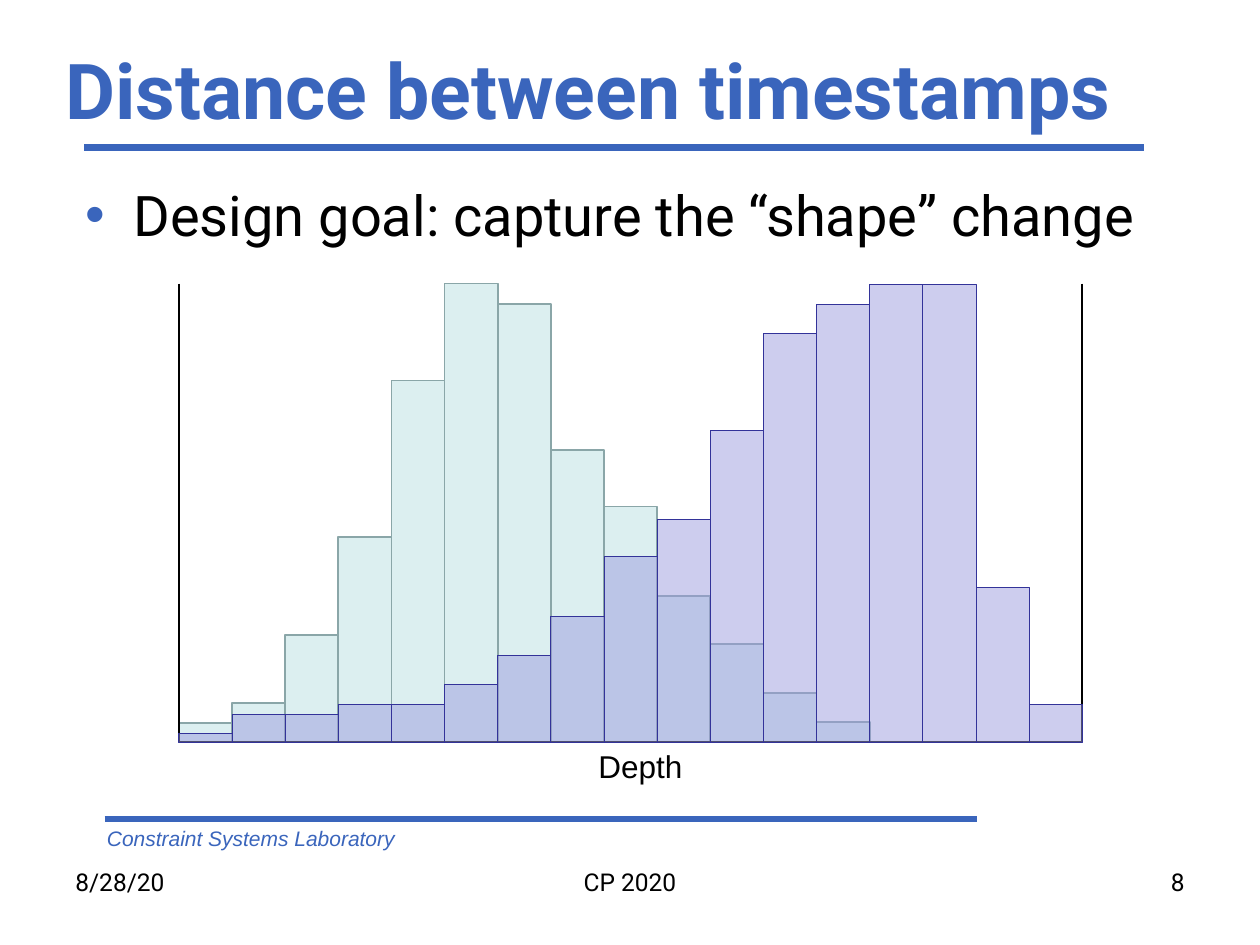
from dataclasses import dataclass

from lxml import etree
from pptx import Presentation
from pptx.dml.color import RGBColor
from pptx.enum import shapes, text
from pptx.oxml import ns
from pptx.util import Inches, Pt


@dataclass(frozen=True)
class Theme:
    blue: str = "3A65BC"
    black: str = "000000"
    early_fill: str = "BBE0E3"
    early_line: str = "8AA6A8"
    late_fill: str = "9C9CDF"
    late_line: str = "333399"
    main_font: str = "Roboto"
    plain_font: str = "Arial"
    title_size: int = 44
    body_size: int = 32
    label_size: int = 18
    footer_size: int = 14
    lab_size: int = 12


THEME = Theme()
# Bar heights in inches, one per depth bin
EARLY = [0.15, 0.31, 0.85, 1.63, 2.87, 3.64, 3.48, 2.32, 1.87, 1.16, 0.78, 0.39, 0.16]
LATE = [0.07, 0.22, 0.22, 0.3, 0.3, 0.46, 0.69, 1, 1.47, 1.77, 2.47, 3.24, 3.47,
        3.63, 3.63, 1.23, 0.3]


def color(value):
    return RGBColor.from_string(value)


def add_text(slide, box, words, size, ink=THEME.black, font=THEME.main_font,
             bold=False, italic=False, align=text.PP_ALIGN.LEFT,
             anchor=text.MSO_ANCHOR.TOP, wrap=True):
    frame = slide.shapes.add_textbox(*map(Inches, box)).text_frame
    frame.word_wrap = wrap
    frame.vertical_anchor = anchor
    paragraph = frame.paragraphs[0]
    paragraph.alignment = align
    run = paragraph.add_run()
    run.text = words
    run.font.name, run.font.size = font, Pt(size)
    run.font.bold, run.font.italic = bold, italic
    run.font.color.rgb = color(ink)
    return paragraph


def add_line(slide, start, end, ink, width):
    line = slide.shapes.add_connector(
        shapes.MSO_CONNECTOR.STRAIGHT, *map(Inches, (*start, *end)))
    line.line.color.rgb = color(ink)
    line.line.width = Pt(width)
    etree.SubElement(line._element.spPr, ns.qn("a:effectLst"))


def add_header(slide, box):
    left, top, width, height = box
    add_text(slide, box, "Distance between timestamps", THEME.title_size,
             THEME.blue, bold=True, anchor=text.MSO_ANCHOR.MIDDLE)
    rule_y = top + height + 0.09
    add_line(slide, (left + 0.25, rule_y), (left + width - 0.34, rule_y), THEME.blue, 4)


def add_goal(slide, box):
    goal = add_text(slide, box, "Design goal: capture the “shape” change", THEME.body_size)
    props = goal._p.get_or_add_pPr()
    props.set("marL", str(Inches(0.38)))
    props.set("indent", str(Inches(-0.38)))
    bullet_color = etree.SubElement(props, ns.qn("a:buClr"))
    etree.SubElement(bullet_color, ns.qn("a:srgbClr"), val=THEME.blue)
    etree.SubElement(props, ns.qn("a:buFont"), typeface=THEME.plain_font)
    etree.SubElement(props, ns.qn("a:buChar"), char="•")


def add_bars(slide, left, base, step, heights, fill, outline, width):
    for index, height in enumerate(heights):
        bar = slide.shapes.add_shape(
            shapes.MSO_SHAPE.RECTANGLE, Inches(left + index * step),
            Inches(base - height), Inches(step), Inches(height))
        bar.shadow.inherit = False
        bar.fill.solid()
        bar.fill.fore_color.rgb = color(fill)
        tint = bar._element.spPr.find(ns.qn("a:solidFill"))[0]
        etree.SubElement(tint, ns.qn("a:alpha"), val="50000")
        bar.line.color.rgb = color(outline)
        bar.line.width = Pt(width)


def add_histogram(slide, box):
    left, top, width, height = box
    right, base = left + width, top + height
    step = width / len(LATE)
    add_bars(slide, left, base, step, EARLY, THEME.early_fill, THEME.early_line, 1)
    # Frame and axis
    for start, end in (((left, top), (left, base)), ((right, top), (right, base)),
                       ((right, base), (left, base))):
        add_line(slide, start, end, THEME.black, 1)
    add_bars(slide, left, base, step, LATE, THEME.late_fill, THEME.late_line, 0.5)
    add_text(slide, (left + 3.23, base - 0.01, 0.88, 0.37), "Depth", THEME.label_size,
             font=THEME.plain_font, wrap=False)


def add_footer(slide, box):
    left, top, width, height = box
    # Laboratory strip
    add_line(slide, (left + 0.33, top), (left + 7.25, top), THEME.blue, 4)
    add_text(slide, (left + 0.25, top, 5.25, 0.3), "Constraint Systems Laboratory",
             THEME.lab_size, THEME.blue, THEME.plain_font, italic=True)
    # Date, venue and slide number
    row_y, row_height = top + 0.33, height - 0.33
    side, middle = 2.33, 3.17
    for x, w, words, align in (
            (left, side, "8/28/20", text.PP_ALIGN.LEFT),
            (left + (width - middle) / 2, middle, "CP 2020", text.PP_ALIGN.CENTER),
            (left + width - side, side, "8", text.PP_ALIGN.RIGHT)):
        add_text(slide, (x, row_y, w, row_height), words, THEME.footer_size, align=align)


def main():
    deck = Presentation()
    deck.slide_width, deck.slide_height = Inches(10), Inches(7.5)
    slide = deck.slides.add_slide(deck.slide_layouts[6])
    add_header(slide, (0.42, 0.33, 9, 0.75))
    add_goal(slide, (0.58, 1.38, 8.92, 4.95))
    add_histogram(slide, (1.42, 2.25, 7.17, 3.64))
    add_footer(slide, (0.5, 6.5, 9, 0.85))
    deck.save("out.pptx")


if __name__ == "__main__":
    main()
